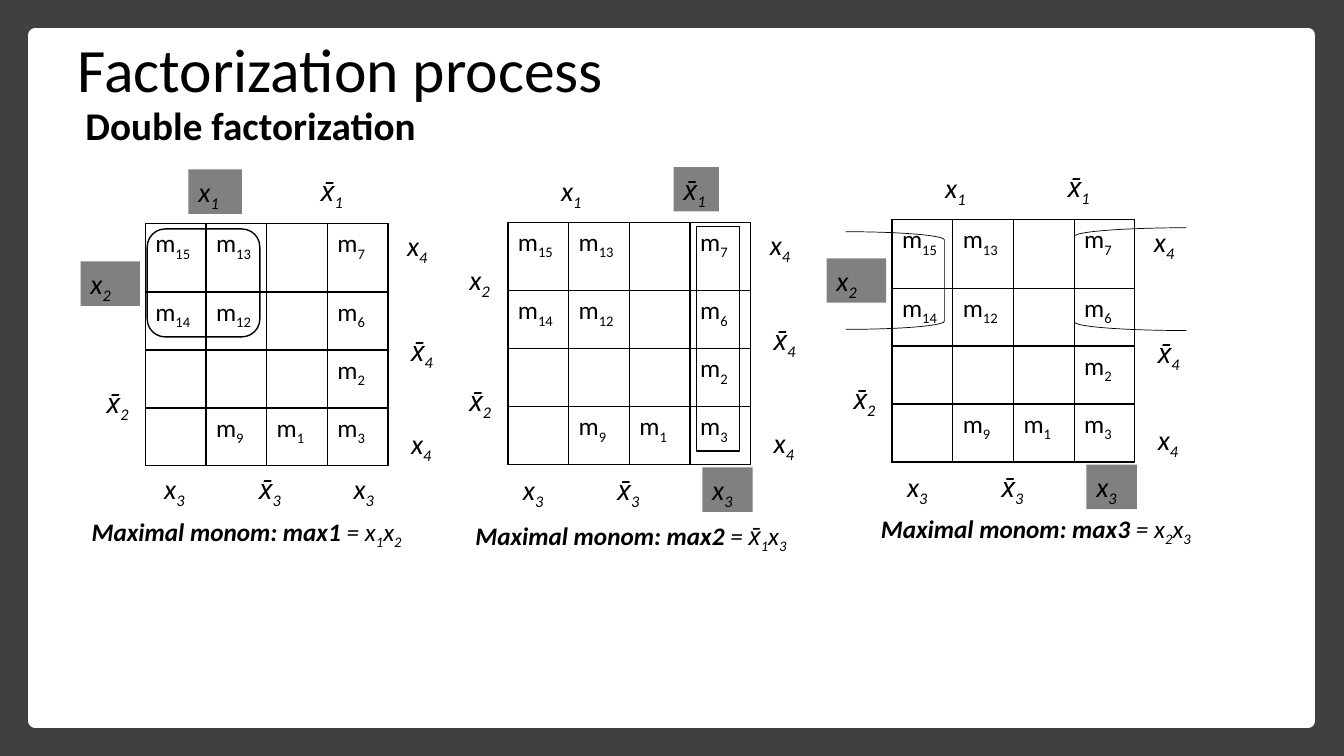
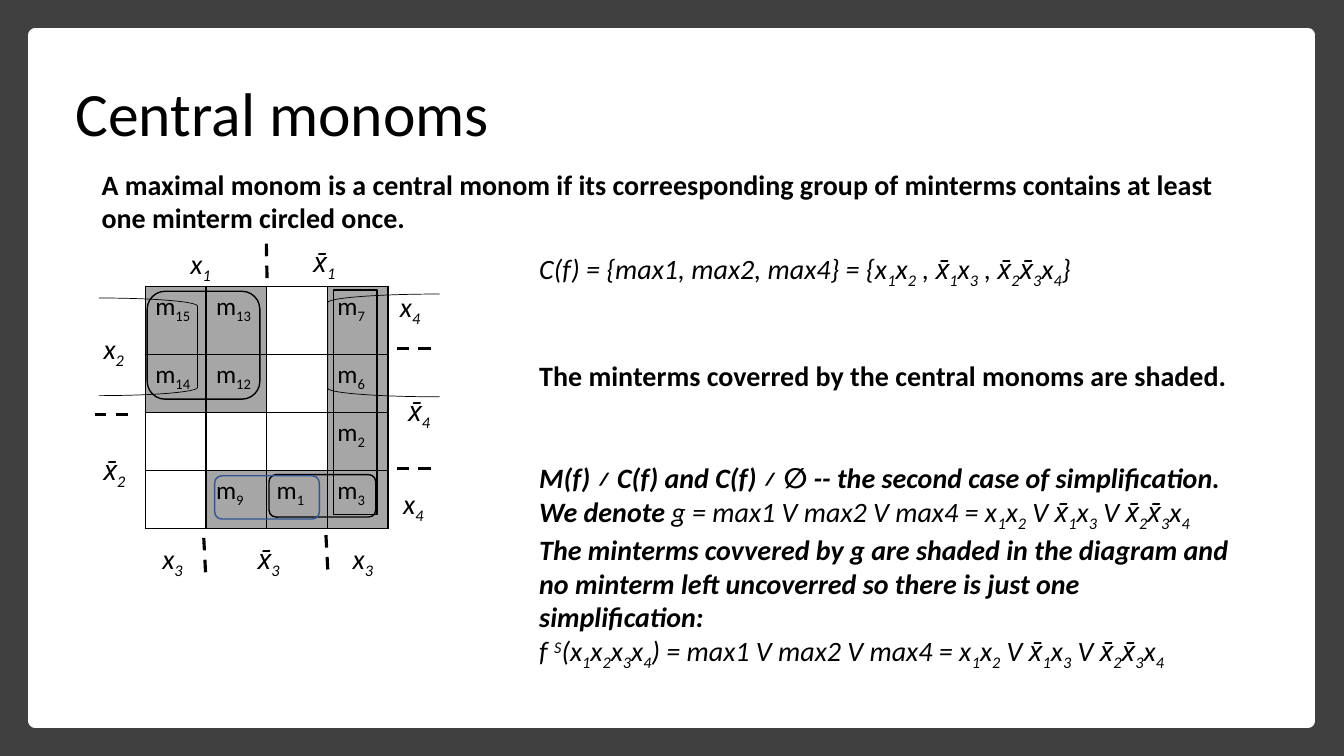
from pptx import Presentation
from pptx.dml.color import RGBColor
from pptx.enum.dml import MSO_LINE
from pptx.enum.shapes import MSO_CONNECTOR, MSO_SHAPE
from pptx.enum.text import MSO_ANCHOR, MSO_AUTO_SIZE, PP_ALIGN
from pptx.oxml import parse_xml
from pptx.oxml.ns import nsdecls
from pptx.util import Cm, Pt

RECT = MSO_SHAPE.RECTANGLE
ROUND = MSO_SHAPE.ROUNDED_RECTANGLE
HOOK = MSO_SHAPE.RIGHT_BRACKET
STRAIGHT = MSO_CONNECTOR.STRAIGHT
DASH = MSO_LINE.DASH
LEFT = PP_ALIGN.LEFT
MIDDLE = MSO_ANCHOR.MIDDLE
NO_FIT = MSO_AUTO_SIZE.NONE

BLACK = RGBColor(0x00, 0x00, 0x00)
WHITE = RGBColor(0xFF, 0xFF, 0xFF)
DARK = RGBColor(0x40, 0x40, 0x40)
GREY = RGBColor(0x80, 0x80, 0x80)
SHADE = RGBColor(0xA6, 0xA6, 0xA6)
BLUE = RGBColor(0x32, 0x54, 0x91)
FONT = "Calibri"
WIDE, HIGH = 33.87, 19.05

# Minterm index in each cell of the map
TERMS = [[15, 13, None, 7],
         [14, 12, None, 6],
         [None, None, None, 2],
         [None, 9, 1, 3]]
COL, ROWS = 1.53, [1.72, 1.46, 1.46, 1.46]

# Variable labels: text and width, then left and top from the map corner
LABELS = {
    "x1": ("x|_1", 1.35), "n1": ("x̄|_1", 1.14),
    "x2": ("x|_2", 1.5), "n2": ("x̄|_2", 1.35),
    "x4": ("x|_4", 1.27), "n4": ("x̄|_4", 1.27), "x4b": ("x|_4", 1.09),
    "x3": ("x|_3", 1.24), "n3": ("x̄|_3", 1.12), "x3b": ("x|_3", 1.27),
}
SPOTS = {
    "x1": (1.09, -1.37), "n1": (4.18, -1.4),
    "x2": (-1.22, 0.89), "n2": (-1.22, 3.94),
    "x4": (6.35, 0), "n4": (6.45, 2.64), "x4b": (6.45, 4.98),
    "x3": (0.13, 6.17), "n3": (2.51, 6.17), "x3b": (4.9, 6.17),
}
CLOSE = {
    "x1": (0.89, -1.12), "n1": (3.99, -1.17),
    "x2": (-1.3, 1.02), "n2": (-1.3, 4.06),
    "x4": (6.17, -0.05), "n4": (6.38, 2.57), "x4b": (6.25, 4.93),
    "x3": (0.18, 6.3), "n3": (2.59, 6.3), "x3b": (4.98, 6.3),
}

# Loops around groups: shape, box from the map corner, line width, flipped
BLOCK = (ROUND, (0.05, 0.13, 2.84, 2.72), 1, False)
STRIP = (RECT, (4.75, 0.1, 1.09, 5.66), 1, False)
HOOKS = [(HOOK, (-1.17, 0.3, 2.49, 2.46), 0.5, False),
         (HOOK, (4.6, 0.2, 2.82, 2.59), 0.5, True)]
PAIR = (ROUND, (3.12, 4.75, 2.69, 1.07), 1, False)
PAIR2 = (ROUND, (1.75, 4.78, 2.64, 1.09), 1, False)

# Dashed borders between variable areas
TICKS = [(4.6, 7.14, 4.55, 6.2), (1.52, 7.21, 1.47, 6.25),
         (-0.43, 3.23, -1.27, 3.23), (3.07, -0.2, 3.05, -1.14),
         (7.19, 4.6, 6.35, 4.6), (7.19, 1.57, 6.35, 1.57)]

# Corner, moved labels, shaded labels, loops, caption offset, caption
MAPS = [
    ((3.66, 5.64), {"x2": (-1.63, 0.95), "x3": (0.23, 6.12),
                    "n3": (2.62, 6.12), "x3b": (5, 6.12)},
     ("x1", "x2"), [BLOCK], (-1.6, 7.24),
     "*Maximal monom: max1| = x|_1|x|_2"),
    ((12.8, 5.61), {"n4": (6.45, 2.39)},
     ("n1", "x3b"), [STRIP], (-1.07, 7.37),
     "*Maximal monom: max2| = x̄|_1|x|_3"),
    ((22.48, 5.54), {"x2": (-1.65, 0.97), "n4": (6.45, 2.79)},
     ("x2", "x3b"), HOOKS, (-0.53, 7.26),
     "*Maximal monom: max3| = x|_2|x|_3"),
]

SUM = "x|_1|x|_2| V x̄|_1|x|_3| V x̄|_2|x̄|_3|x|_4"
# Text, italic, space before
PROOF = [
    ("C(f) = {max1, max2, max4} = {x|_1|x|_2| , x̄|_1|x|_3| , x̄|_2|x̄|_3|x|_4|}",
     True, 0),
    ("*The minterms coverred by the central monoms are shaded.", False, 49),
    ("*M(f) ≠ C(f) and C(f) ≠ ∅ -- the second case of simplification.",
     True, 49),
    ("*We denote |g = max1 V max2 V max4 = " + SUM, True, 0),
    ("*The minterms covvered by g are shaded in the diagram and no minterm "
     "left uncoverred so there is just one simplification:", True, 0),
    ("f |^S|(x|_1|x|_2|x|_3|x|_4|) = max1 V max2 V max4 = " + SUM, True, 0),
]


def write(para, text, size=20, italic=False, gap=0):
    """Parts split by |: _ lowers, ^ raises, * makes bold."""
    para.alignment = LEFT
    para.space_before = Pt(gap)
    for part in text.split("|"):
        mark = part[0] if part[0] in "_^*" else ""
        run = para.add_run()
        run.text = part[len(mark):]
        font = run.font
        font.name, font.size = FONT, Pt(size)
        font.bold, font.italic = mark == "*", italic
        font.color.rgb = BLACK
        if mark in ("_", "^"):
            shift = "-25000" if mark == "_" else "30000"
            run._r.get_or_add_rPr().set("baseline", shift)


def shape(slide, kind, box, fill=None, line=None, width=1):
    item = slide.shapes.add_shape(kind, *map(Cm, box))
    item.shadow.inherit = False
    if fill is None:
        item.fill.background()
    else:
        item.fill.solid()
        item.fill.fore_color.rgb = fill
    if line is None:
        item.line.fill.background()
    else:
        item.line.color.rgb = line
        item.line.width = Pt(width)
    return item


def block(slide, box, fill=None):
    """Text area, returned as its frame."""
    if fill is None:
        item = slide.shapes.add_textbox(*map(Cm, box))
    else:
        item = shape(slide, RECT, box, fill)
    frame = item.text_frame
    frame.word_wrap = True
    frame.vertical_anchor = MSO_ANCHOR.TOP
    return frame


def base(deck, left, top, title, sub=None):
    """Framed slide with its title."""
    slide = deck.slides.add_slide(deck.slide_layouts[5])
    back = shape(slide, RECT, (0, 0, WIDE, HIGH), DARK)
    page = shape(slide, RECT, (0.89, 0.89, 32.08, 17.27), WHITE, WHITE, 10)
    tree = slide.shapes._spTree
    for at, item in enumerate((back, page), 2):
        tree.insert(at, item._element)
    head = slide.shapes.title
    head.left, head.top = Cm(left), Cm(top)
    head.width, head.height = Cm(29.21), Cm(3.68)
    frame = head.text_frame
    frame.auto_size, frame.word_wrap = NO_FIT, True
    frame.vertical_anchor = MIDDLE
    write(frame.paragraphs[0], title, size=44)
    if sub:
        para = frame.add_paragraph()
        para._p.get_or_add_pPr().set("marL", str(Cm(0.2)))
        write(para, sub, size=28)
    for para in frame.paragraphs:
        para.line_spacing = 0.9
    return slide


def edge(cell):
    """Thin black border on all four sides."""
    props = cell._tc.get_or_add_tcPr()
    for at, side in enumerate(("lnL", "lnR", "lnT", "lnB")):
        props.insert(at, parse_xml(
            f'<a:{side} {nsdecls("a")} w="12700"><a:solidFill>'
            f'<a:srgbClr val="{BLACK}"/></a:solidFill></a:{side}>'))


def grid(slide, x, y, shaded=False):
    """Table of minterms."""
    size = (x, y, 4 * COL, sum(ROWS))
    table = slide.shapes.add_table(4, 4, *map(Cm, size)).table
    table.first_row = table.horz_banding = False
    for col in table.columns:
        col.width = Cm(COL)
    for r, terms in enumerate(TERMS):
        table.rows[r].height = Cm(ROWS[r])
        for c, term in enumerate(terms):
            cell = table.cell(r, c)
            if term and shaded:
                cell.fill.solid()
                cell.fill.fore_color.rgb = SHADE
            else:
                cell.fill.background()
            edge(cell)
            if term:
                write(cell.text_frame.paragraphs[0], f"m|_{term}", size=18)


def loop(slide, x, y, mark, line=BLACK):
    """Outline around a group of minterms."""
    kind, (dx, dy, w, h), width, flip = mark
    item = shape(slide, kind, (x + dx, y + dy, w, h), None, line, width)
    if flip:
        item._element.spPr.get_or_add_xfrm().set("flipH", "1")


def names(slide, x, y, spots, dark=()):
    """Variable labels around a map."""
    for key, (text, w) in LABELS.items():
        dx, dy = spots[key]
        fill = GREY if key in dark else None
        frame = block(slide, (x + dx, y + dy, w, 1.12), fill)
        frame.margin_right = 0
        write(frame.paragraphs[0], text, italic=True)


def tick(slide, x, y, ends):
    x1, y1, x2, y2 = ends
    line = slide.shapes.add_connector(
        STRAIGHT, Cm(x + x1), Cm(y + y1), Cm(x + x2), Cm(y + y2))
    line.line.color.rgb = BLACK
    line.line.width = Pt(2.25)
    line.line.dash_style = DASH
    line._element.spPr.append(parse_xml(f'<a:effectLst {nsdecls("a")}/>'))


def double(deck):
    """Three maps, each with one maximal monom."""
    slide = base(deck, 1.7, 0.53, "Factorization process",
                 "*Double factorization")
    for (x, y), moved, dark, loops, (dx, dy), text in MAPS:
        grid(slide, x, y)
        names(slide, x, y, SPOTS | moved, dark)
        for mark in loops:
            loop(slide, x, y, mark)
        frame = block(slide, (x + dx, y + dy, 9.45, 1.02))
        write(frame.paragraphs[0], text, size=18, italic=True)


def central(deck):
    """Shaded map beside the reasoning."""
    slide = base(deck, 1.65, 1.09, "Central monoms")
    frame = block(slide, (2.31, 4.09, 29.54, 1.96))
    write(frame.paragraphs[0],
          "*A maximal monom is a central monom if its correesponding group "
          "of minterms contains at least one minterm circled once.")

    # Reasoning
    frame = block(slide, (13.34, 6.22, 18.16, 11.38))
    for at, (text, italic, gap) in enumerate(PROOF):
        para = frame.add_paragraph() if at else frame.paragraphs[0]
        write(para, text, italic=italic, gap=gap)

    # Map
    x, y = 3.66, 7.21
    grid(slide, x, y, shaded=True)
    for mark in (STRIP, BLOCK, PAIR, *HOOKS):
        loop(slide, x, y, mark)
    loop(slide, x, y, PAIR2, line=BLUE)
    names(slide, x, y, CLOSE)
    for ends in TICKS:
        tick(slide, x, y, ends)


def main():
    deck = Presentation()
    deck.slide_width, deck.slide_height = Cm(WIDE), Cm(HIGH)
    double(deck)
    central(deck)
    deck.save("out.pptx")


if __name__ == "__main__":
    main()
